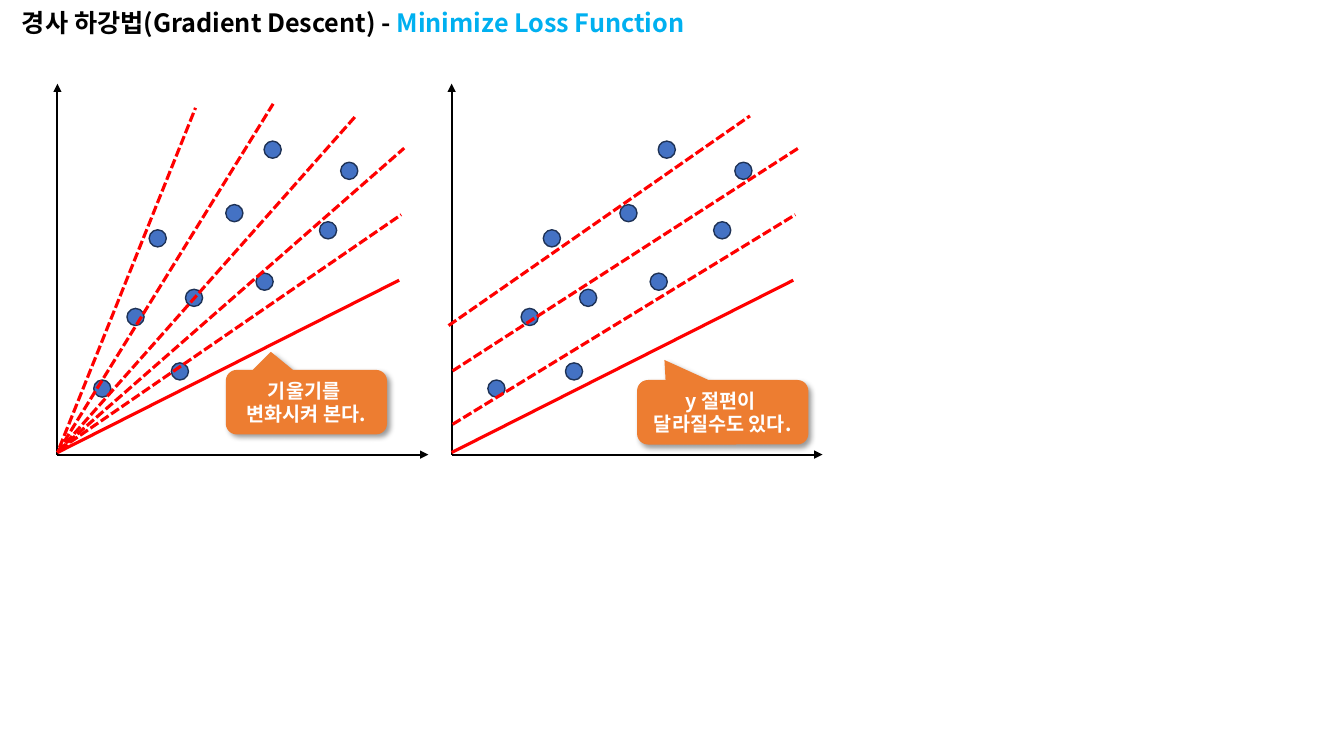
from pptx import Presentation
from pptx import util as u
from pptx.dml.color import RGBColor
from pptx.enum import dml, shapes, text
from pptx.oxml import parse_xml
from pptx.oxml.ns import nsdecls, qn

CELL = u.Inches(0.1)
COLUMNS, ROWS = 133.33, 75
FONT = "Noto Sans CJK KR"
COLORS = {
    "black": "000000",
    "white": "FFFFFF",
    "accent": "00B0F0",
    "point": "4472C4",
    "point_edge": "1E3256",
    "fit": "FF0000",
    "callout": "ED7D31",
}

AXIS_TOP, AXIS_BOTTOM, AXIS_LENGTH = 8.3, 45.1, 36.8
POINT_SIZE = 1.7
POINTS = [
    (3.6, 37.7), (6.9, 30.6), (9.1, 22.8), (11.3, 36), (16.7, 20.3),
    (12.7, 28.7), (20.5, 14), (19.7, 27.1), (26, 22), (28.1, 16.1),
]
FIRST_FIT = (0, 44.9, 33.9, 27.8)
SLOPE_FITS = [
    (0.2, 44.6, 34.1, 21.3),
    (0.1, 44.7, 34.4, 14.7),
    (0, 44.9, 29.6, 11.5),
    (0, 44.9, 21.4, 10.3),
    (0.2, 44.4, 13.7, 10.7),
]
INTERCEPT_FITS = [
    (0.1, 42.1, 34.1, 21.3),
    (0.1, 36.8, 34.4, 14.7),
    (-0.3, 32.3, 29.6, 11.5),
]


def grid(*cells):
    return [round(cell * CELL) for cell in cells]


def color(name):
    return RGBColor.from_string(COLORS[name])


def add_text(paragraph, content, *, size, fill, bold=True, align=None):
    paragraph.alignment = align
    run = paragraph.add_run()
    run.text = content
    run.font.name = FONT
    run.font.size = u.Pt(size)
    run.font.bold = bold
    run.font.color.rgb = color(fill)
    east_asian = parse_xml(f'<a:ea {nsdecls("a")} typeface="{FONT}"/>')
    run.font._element.find(qn("a:latin")).addnext(east_asian)


def add_line(group, ends, *, stroke, width, dashed=False, arrow=False):
    connector = group.shapes.add_connector(shapes.MSO_CONNECTOR.STRAIGHT, *grid(*ends))
    connector.line.color.rgb = color(stroke)
    connector.line.width = u.Pt(width)
    if dashed:
        connector.line.dash_style = dml.MSO_LINE.SQUARE_DOT
    properties = connector._element.spPr
    if arrow:
        head = parse_xml(f'<a:headEnd {nsdecls("a")} type="triangle"/>')
        properties.find(qn("a:ln")).append(head)
    properties.append(parse_xml(f'<a:effectLst {nsdecls("a")}/>'))


def add_point(group, column, row):
    point = group.shapes.add_shape(
        shapes.MSO_SHAPE.OVAL, *grid(column, row, POINT_SIZE, POINT_SIZE))
    point.shadow.inherit = False
    point.fill.solid()
    point.fill.fore_color.rgb = color("point")
    point.line.color.rgb = color("point_edge")
    point.line.width = u.Pt(1)


def add_plot(slide, axis, dashed_fits):
    group = slide.shapes.add_group_shape()
    for tip in [(axis, AXIS_TOP), (axis + AXIS_LENGTH, AXIS_BOTTOM)]:
        add_line(group, (*tip, axis, AXIS_BOTTOM), stroke="black", width=1.5, arrow=True)
    for column, row in POINTS:
        add_point(group, axis + column, row)
    for fit in [FIRST_FIT, *dashed_fits]:
        start, start_row, end, end_row = fit
        add_line(group, (axis + start, start_row, axis + end, end_row),
                 stroke="fit", width=2.25, dashed=fit != FIRST_FIT)


def add_callout(slide, area, pointer, lines):
    callout = slide.shapes.add_shape(
        shapes.MSO_SHAPE.ROUNDED_RECTANGULAR_CALLOUT, *grid(*area))
    for index, value in enumerate([*pointer, 0.17]):
        callout.adjustments[index] = value
    callout.fill.solid()
    callout.fill.fore_color.rgb = color("callout")
    callout.line.fill.background()
    callout.shadow.inherit = False
    callout._element.spPr.find(qn("a:effectLst")).append(parse_xml(
        f'<a:outerShdw {nsdecls("a")} blurRad="{u.Pt(4)}" dist="{u.Pt(3)}" '
        f'dir="2700000" algn="tl" rotWithShape="0">'
        f'<a:srgbClr val="{COLORS["black"]}"><a:alpha val="40000"/></a:srgbClr>'
        f'</a:outerShdw>'))
    frame = callout.text_frame
    frame.vertical_anchor = text.MSO_ANCHOR.MIDDLE
    for index, line in enumerate(lines):
        paragraph = frame.add_paragraph() if index else frame.paragraphs[0]
        add_text(paragraph, line, size=14, fill="white", align=text.PP_ALIGN.CENTER)


def add_title(slide, area, parts):
    frame = slide.shapes.add_textbox(*grid(*area)).text_frame
    frame.word_wrap = True
    frame.auto_size = text.MSO_AUTO_SIZE.SHAPE_TO_FIT_TEXT
    for content, fill in parts:
        add_text(frame.paragraphs[0], content, size=18, fill=fill)


def main():
    presentation = Presentation()
    presentation.slide_width, presentation.slide_height = grid(COLUMNS, ROWS)
    slide = presentation.slides.add_slide(presentation.slide_layouts[6])
    add_plot(slide, 5.7, SLOPE_FITS)
    add_title(slide, (1.2, 0.2, 79.7, 4), [
        ("경사 하강법(Gradient Descent) - ", "black"),
        ("Minimize Loss Function", "accent"),
    ])
    add_callout(slide, (63.2, 37.7, 17, 6.4), (-0.34, -0.81),
                ["y 절편이 ", "달라질수도 있다."])
    add_callout(slide, (22.4, 36.7, 16, 6.4), (-0.22, -0.78),
                ["기울기를 ", "변화시켜 본다."])
    add_plot(slide, 44.8, INTERCEPT_FITS)
    presentation.save("out.pptx")


if __name__ == "__main__":
    main()
